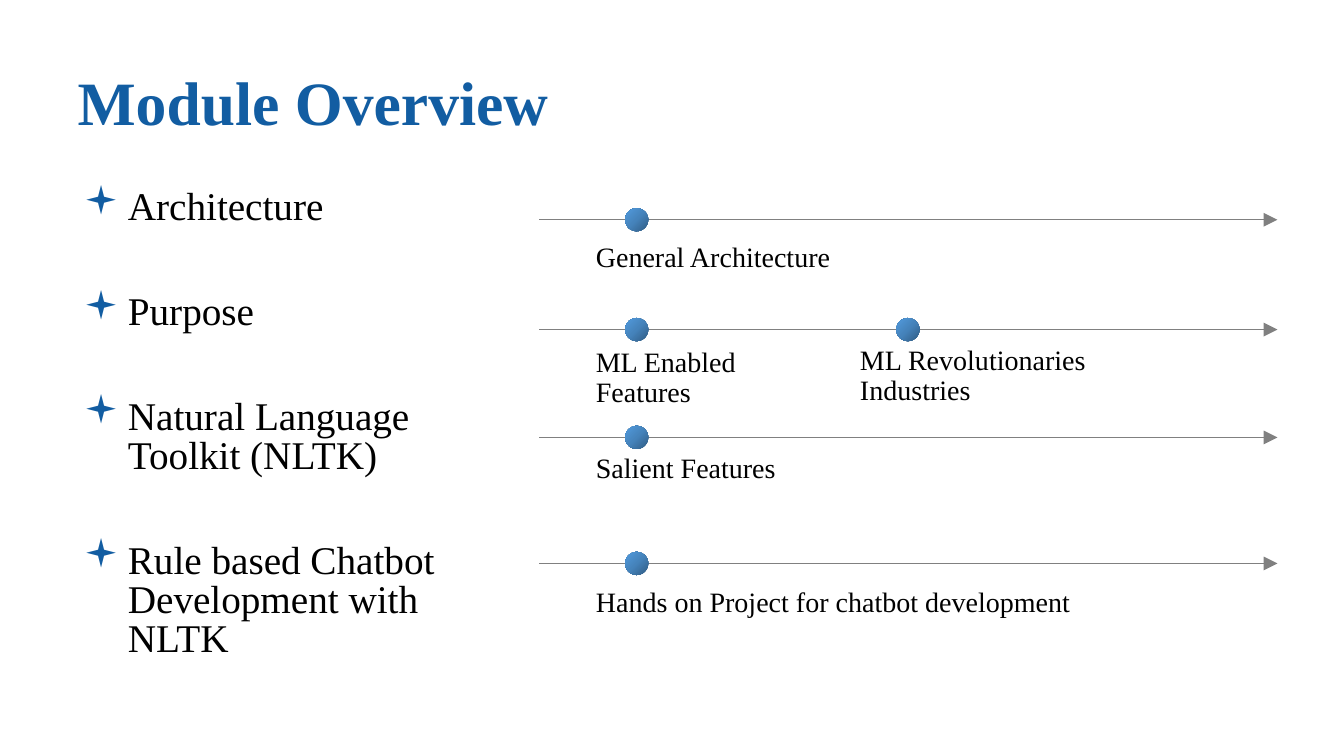
import copy
from dataclasses import dataclass

import pptx
import pptx.dml.color
import pptx.enum.shapes
import pptx.enum.text
import pptx.oxml
import pptx.oxml.ns
import pptx.util
from pptx.util import Inches


@dataclass(frozen=True)
class Theme:
    font: str = "Times New Roman"
    accent: str = "125DA2"
    text: str = "000000"
    line: str = "808080"
    dot_gradient: tuple = ((0, "305C84"), (0.5, "4583BB"), (1, "529BDE"))
    title_size: int = 44
    topic_size: int = 28
    label_size: int = 20


@dataclass(frozen=True)
class Milestone:
    text: str
    dot_left: float
    label_left: float
    label_top: float
    label_width: float
    label_height: float = 0.31


@dataclass(frozen=True)
class Track:
    topic: str
    y: float
    milestones: tuple


THEME = Theme()
LINE_LEFT, LINE_RIGHT = 5.35, 12.67
DOT_SIZE = 0.23
FIRST_DOT, SECOND_DOT = 6.2, 8.89
LABEL_LEFT = 5.85

TRACKS = (
    Track("Architecture", 2.18, (
        Milestone("General Architecture", FIRST_DOT, LABEL_LEFT, 2.41, 2.89),)),
    Track("Purpose", 3.27, (
        Milestone("ML Enabled\vFeatures", FIRST_DOT, LABEL_LEFT, 3.45, 2.77, 0.61),
        Milestone("ML Revolutionaries Industries", SECOND_DOT, 8.47, 3.43, 2.87, 0.61))),
    Track("Natural Language Toolkit (NLTK)", 4.34, (
        Milestone("Salient Features", FIRST_DOT, LABEL_LEFT, 4.5, 2.48),)),
    Track("Rule based Chatbot Development with NLTK", 5.59, (
        Milestone("Hands on Project for chatbot development",
                  FIRST_DOT, LABEL_LEFT, 5.83, 6.81),)),
)


def rgb(value: str) -> pptx.dml.color.RGBColor:
    return pptx.dml.color.RGBColor.from_string(value)


def add_xml(parent, tag: str, **attributes: str):
    child = pptx.oxml.ns.qn(tag)
    element = parent.makeelement(child, attributes)
    parent.append(element)
    return element


def format_paragraph(paragraph, size: int, color: str, spacing: float,
                     bold: bool = False) -> None:
    paragraph.line_spacing = spacing
    paragraph.alignment = pptx.enum.text.PP_ALIGN.LEFT
    paragraph.font.name = THEME.font
    paragraph.font.size = pptx.util.Pt(size)
    paragraph.font.color.rgb = rgb(color)
    paragraph.font.bold = bold


def add_title(slide, text: str) -> None:
    title = slide.shapes.title
    title.left, title.top = Inches(0.67), Inches(0.28)
    title.width, title.height = Inches(12), Inches(1.53)
    title.text_frame.text = text
    title.text_frame.vertical_anchor = pptx.enum.text.MSO_ANCHOR.MIDDLE
    format_paragraph(title.text_frame.paragraphs[0], THEME.title_size,
                     THEME.accent, 0.9, bold=True)


def add_topics(slide, topics: list[str]) -> None:
    box = slide.shapes.add_textbox(Inches(0.67), Inches(1.83), Inches(4.52), Inches(5))
    frame = box.text_frame
    frame.word_wrap = True
    frame.text = "\n".join(topics)
    for index, paragraph in enumerate(frame.paragraphs):
        format_paragraph(paragraph, THEME.topic_size, THEME.text, 0.83)
        paragraph.space_before = pptx.util.Pt(47 if index else 0)
        properties = paragraph._p.get_or_add_pPr()
        properties.set("marL", str(Inches(0.5)))
        properties.set("indent", str(Inches(-0.44)))
        # Bullet elements belong before the default run properties
        defaults = properties.find(pptx.oxml.ns.qn("a:defRPr"))
        properties.remove(defaults)
        bullet_color = add_xml(properties, "a:buClr")
        add_xml(bullet_color, "a:srgbClr", val=THEME.accent)
        add_xml(properties, "a:buFont", typeface="Wingdings")
        add_xml(properties, "a:buChar", char="\u25aa")
        properties.append(defaults)


def add_arrow(slide, y: float) -> None:
    arrow = slide.shapes.add_connector(
        pptx.enum.shapes.MSO_CONNECTOR.STRAIGHT,
        Inches(LINE_LEFT), Inches(y), Inches(LINE_RIGHT), Inches(y))
    arrow.line.color.rgb = rgb(THEME.line)
    arrow.line.width = pptx.util.Pt(0.75)
    add_xml(arrow.line._get_or_add_ln(), "a:tailEnd", type="triangle", w="lg", len="lg")
    add_xml(arrow._element.spPr, "a:effectLst")


def add_dot(slide, left: float, center_y: float) -> None:
    dot = slide.shapes.add_shape(
        pptx.enum.shapes.MSO_SHAPE.OVAL, Inches(left), Inches(center_y - DOT_SIZE / 2),
        Inches(DOT_SIZE), Inches(DOT_SIZE))
    dot.shadow.inherit = False
    dot.line.fill.background()
    dot.fill.gradient()
    dot.fill.gradient_angle = 135
    stop_list = dot._element.spPr.find(".//" + pptx.oxml.ns.qn("a:gsLst"))
    stop_list.append(copy.deepcopy(stop_list[0]))
    for stop, (position, color) in zip(dot.fill.gradient_stops, THEME.dot_gradient):
        stop.position = position
        stop.color.rgb = rgb(color)


def add_label(slide, milestone: Milestone) -> None:
    box = slide.shapes.add_textbox(
        Inches(milestone.label_left), Inches(milestone.label_top),
        Inches(milestone.label_width), Inches(milestone.label_height))
    frame = box.text_frame
    frame.word_wrap = True
    frame.vertical_anchor = pptx.enum.text.MSO_ANCHOR.MIDDLE
    frame.margin_left = Inches(0.06)
    frame.margin_right = frame.margin_top = frame.margin_bottom = 0
    frame.text = milestone.text
    format_paragraph(frame.paragraphs[0], THEME.label_size, THEME.text, 0.9)


def main() -> None:
    presentation = pptx.Presentation()
    presentation.slide_width, presentation.slide_height = Inches(13.33), Inches(7.5)
    slide = presentation.slides.add_slide(presentation.slide_layouts[5])

    # Title and topic list
    add_title(slide, "Module Overview")
    add_topics(slide, [track.topic for track in TRACKS])

    # One timeline per topic
    for track in TRACKS:
        add_arrow(slide, track.y)
        for milestone in track.milestones:
            add_dot(slide, milestone.dot_left, track.y)
            add_label(slide, milestone)

    presentation.save("out.pptx")


main()
